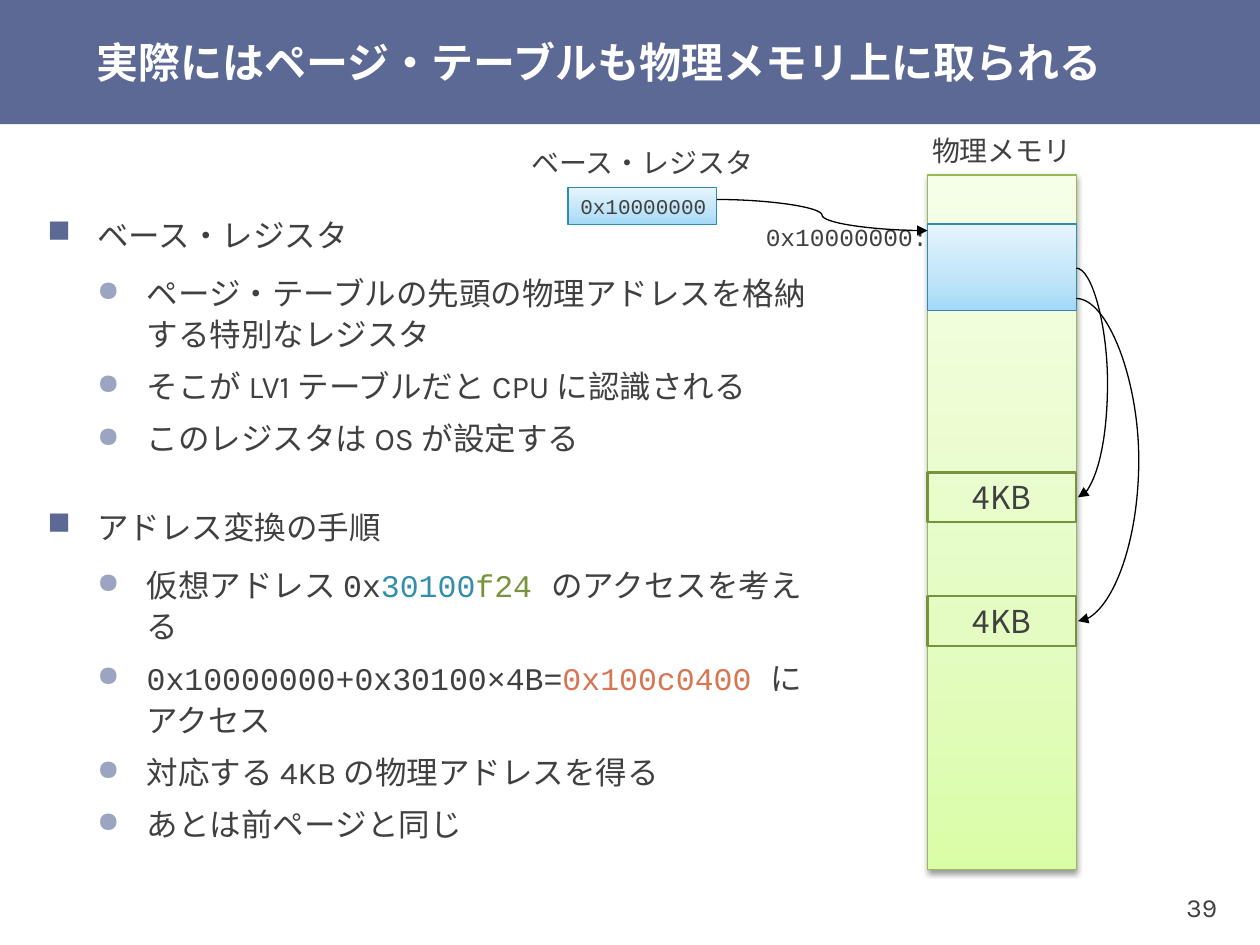
import copy

import lxml.etree
import pptx
import pptx.dml.color
import pptx.enum.dml
import pptx.enum.shapes
import pptx.enum.text
import pptx.oxml.ns
import pptx.util

Pt = pptx.util.Pt
qn = pptx.oxml.ns.qn
ALIGN = pptx.enum.text.PP_ALIGN
MIDDLE = pptx.enum.text.MSO_ANCHOR.MIDDLE
RECT = pptx.enum.shapes.MSO_SHAPE.RECTANGLE
CURVE = pptx.enum.shapes.MSO_CONNECTOR.CURVE

COLORS = {
    "band": "5C6994", "dot": "9BA4C1", "text": "404040", "white": "FFFFFF",
    "black": "000000", "blue": "328FAC", "green": "77933C", "orange": "D87552",
    "memory_line": "98B955", "table_line": "2E8DAB",
}
GRADIENTS = {
    "memory": ("DAFDA7", "E4FCC2", "F5FFE7"),
    "table": ("A2D9F7", "BFE4F8", "E6F5FD"),
}
BODY, MONO, LABEL = "Karla", "Courier New", "Noto Sans CJK JP"


def rgb(name):
    return pptx.dml.color.RGBColor.from_string(COLORS.get(name, name))


def add(parent, tag, **attrs):
    el = lxml.etree.SubElement(parent, qn(tag))
    for key, value in attrs.items():
        el.set(key, str(value))
    return el


class Slide:
    def __init__(self, prs):
        self.s = prs.slides.add_slide(prs.slide_layouts[5])
        self.color = "text"

    def font(self, font, size=None, name=BODY, color=None, bold=None):
        if size:
            font.size = Pt(size)
        font.bold = bold
        font.color.rgb = rgb(color or self.color)
        font.name = name
        add(font._element, "a:ea", typeface=name)

    def text(self, sp, text, size, name=BODY, align=ALIGN.LEFT, wrap=False, **style):
        tf = sp.text_frame
        tf.word_wrap = wrap
        tf.auto_size = pptx.enum.text.MSO_AUTO_SIZE.NONE
        tf.vertical_anchor = MIDDLE
        p = tf.paragraphs[0]
        p.text = text
        p.alignment = align
        self.font(p.font, size, name, **style)
        return tf

    def title(self, text, x, y, w, h):
        sp = self.s.shapes.title
        sp.left, sp.top, sp.width, sp.height = map(Pt, (x, y, w, h))
        tf = self.text(sp, text, 24, wrap=True, color="white", bold=True)
        tf.margin_top = tf.margin_bottom = 0

    def label(self, text, x, y, w, h, size, name=LABEL, align=ALIGN.CENTER):
        sp = self.s.shapes.add_textbox(*map(Pt, (x, y, w, h)))
        return self.text(sp, text, size, name, align)

    def box(self, x, y, w, h, fill=None, gradient=None, line=None, weight=0.75):
        sp = self.s.shapes.add_shape(RECT, *map(Pt, (x, y, w, h)))
        sp.shadow.inherit = False
        if gradient:
            self.gradient(sp, GRADIENTS[gradient])
        elif fill:
            sp.fill.solid()
            sp.fill.fore_color.rgb = rgb(fill)
        else:
            sp.fill.background()
        if line:
            sp.line.color.rgb = rgb(line)
            sp.line.width = Pt(weight)
        else:
            sp.line.fill.background()
        return sp

    def gradient(self, sp, colors):
        """Fill from the bottom edge up with three stops."""
        sp.fill.gradient()
        sp.fill.gradient_angle = 90
        stops = sp._element.spPr.find(".//" + qn("a:gsLst"))
        stops.append(copy.deepcopy(stops[0]))
        for stop, at, color in zip(sp.fill.gradient_stops, (0, 0.35, 1), colors):
            stop.position = at
            stop.color.rgb = rgb(color)

    def shadow(self, sp):
        effects = sp._element.spPr.find(qn("a:effectLst"))
        outer = add(effects, "a:outerShdw", blurRad=Pt(3.1), dist=Pt(1.6),
                    dir=90 * 60000, rotWithShape=0)
        add(add(outer, "a:srgbClr", val=COLORS["black"]), "a:alpha", val=38000)

    def arrow(self, x1, y1, x2, y2, bend):
        """Curved arrow whose middle lies bend points right of its start."""
        c = self.s.shapes.add_connector(CURVE, *map(Pt, (x1, y1, x2, y2)))
        c.line.color.rgb = rgb("black")
        c.line.width = Pt(0.75)
        spPr = c._element.spPr
        add(spPr.find(qn("a:ln")), "a:tailEnd", type="triangle")
        add(spPr, "a:effectLst")
        guides = spPr.find(qn("a:prstGeom")).find(qn("a:avLst"))
        add(guides, "a:gd", name="adj1", fmla=f"val {round(bend / (x2 - x1) * 100000)}")

    def bullets(self, items, x, y, w, h):
        """Items are (level, runs); a run is text or (text, font, colour)."""
        tf = self.s.shapes.add_textbox(*map(Pt, (x, y, w, h))).text_frame
        tf.word_wrap = True
        tf.vertical_anchor = MIDDLE
        for i, (level, runs) in enumerate(items):
            p = tf.add_paragraph() if i else tf.paragraphs[0]
            p.level = level
            p.line_spacing = 1.1
            p.space_before, p.space_after = map(Pt, ((24, 6), (3, 3))[level])
            char, color, size = (("■", "band", 100), ("●", "dot", 90))[level]
            pPr = p._p.get_or_add_pPr()
            pPr.set("marL", str(Pt(28.35 * (level + 1))))
            pPr.set("indent", str(-Pt(28.35)))
            add(add(pPr, "a:buClr"), "a:srgbClr", val=COLORS[color])
            add(pPr, "a:buSzPct", val=size * 1000)
            add(pPr, "a:buChar", char=char)
            self.font(p.font, 18)
            for run in runs:
                text, name, color = (run, None, None) if isinstance(run, str) else run
                r = p.add_run()
                r.text = text
                if name:
                    self.font(r.font, name=name, color=color)


def main():
    prs = pptx.Presentation()
    prs.slide_width, prs.slide_height = Pt(720), Pt(540)
    s = Slide(prs)

    band = s.box(0, 0, 720, 71, fill="band")
    s.s.shapes._spTree.insert(2, band._element)
    s.title("実際にはページ・テーブルも物理メモリ上に取られる", 48, 0, 672, 71)
    s.label("39", 643.5, 497, 57, 43, 15, BODY, ALIGN.RIGHT).margin_right = Pt(5)

    s.bullets([
        (0, ["ベース・レジスタ"]),
        (1, ["ページ・テーブルの先頭の物理アドレスを格納する特別なレジスタ"]),
        (1, ["そこが LV1 テーブルだと CPU に認識される"]),
        (1, ["このレジスタは OS が設定する"]),
        (0, ["アドレス変換の手順"]),
        (1, ["仮想アドレス ", ("0x", MONO, "text"), ("30100", MONO, "blue"),
             ("f24 ", MONO, "green"), "のアクセスを考える"]),
        (1, [("0x10000000+0x30100×4B=", MONO, "text"),
             ("0x100c0400 ", MONO, "orange"), "にアクセス"]),
        (1, ["対応する 4KB の物理アドレスを得る"]),
        (1, [("あとは前ページと同じ", MONO, "text")]),
    ], 20, 85.5, 461, 432)

    left, width, row = 530, 85, 28.35
    right = left + width
    s.shadow(s.box(left, 100, width, 397, gradient="memory", line="memory_line"))
    s.label("物理メモリ", 544, 71.5, 57, row, 16)
    s.box(left, 128, width, 49.6, gradient="table", line="table_line")
    s.label("0x10000000:", 430.5, 128, 42.5, 14.2, 14, MONO, ALIGN.LEFT)

    register = s.box(324.5, 107, width, 21.3, gradient="table", line="table_line")
    s.text(register, "0x10000000", 12, MONO)
    s.label("ベース・レジスタ", 338.5, 78.5, 57, row, 16)

    for top, start, bend in ((270, 153.2, 18), (340.8, 170.6, 36)):
        page = s.box(left, top, width, row, line="green", weight=1.25)
        s.text(page, "4KB", 18, LABEL, ALIGN.CENTER)
        s.arrow(right, start, right + 1, top + row / 2, bend)
    s.arrow(409.5, 114, left, 131.8, 60.25)

    prs.save("out.pptx")


if __name__ == "__main__":
    main()
